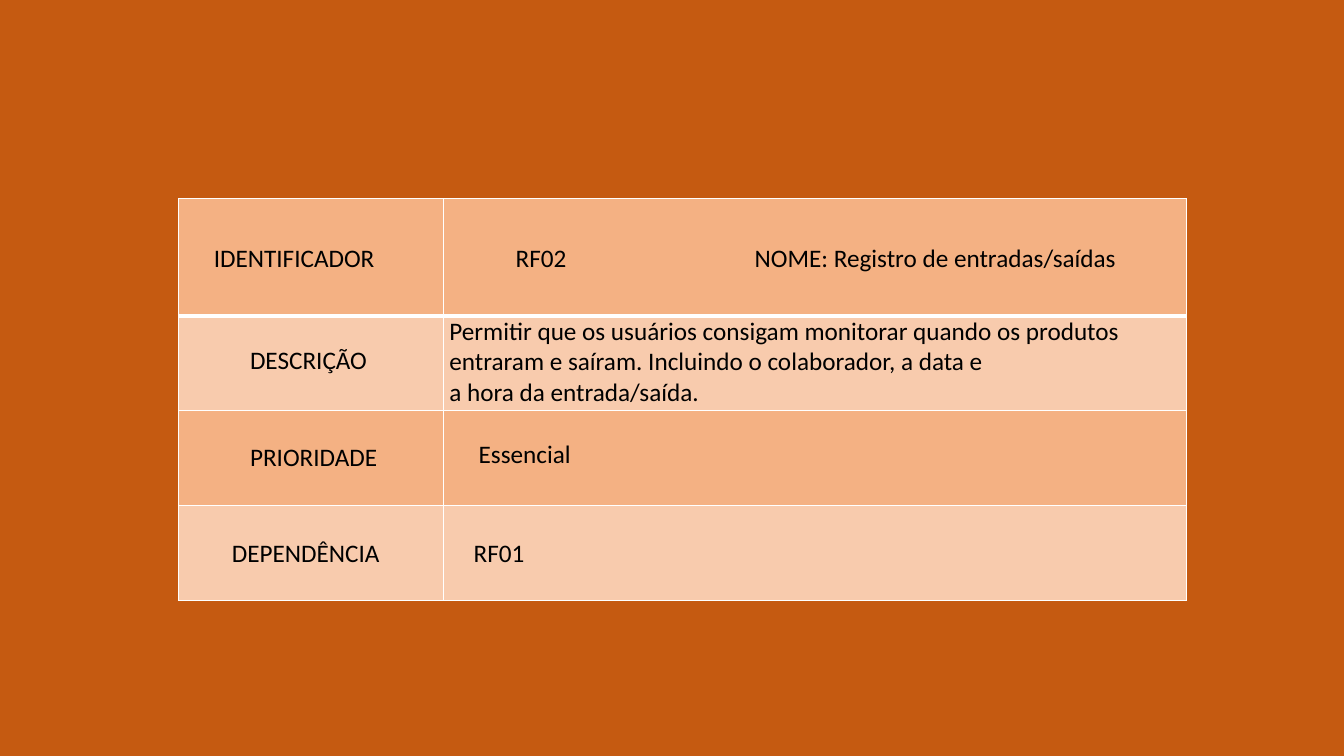
from lxml import etree
from pptx import Presentation
from pptx.dml.color import RGBColor
from pptx.enum import text as text_enum
from pptx.oxml.ns import qn
from pptx.util import Pt

BACKGROUND = RGBColor(0xC5, 0x5A, 0x11)
BAND_DARK = RGBColor(0xF4, 0xB1, 0x83)
BAND_LIGHT = RGBColor(0xF8, 0xCB, 0xAD)
BORDER = RGBColor(0xFF, 0xFF, 0xFF)
INK = RGBColor(0, 0, 0)

COLUMNS = (189.4, 530.6)
ROWS = (83.5, 67.9, 67.9, 67.9)

HEADING = "IDENTIFICADOR\tRF02\tNOME: Registro de entradas/saídas"
DESCRIPTION = (
    "Permitir que os usuários consigam monitorar quando os produtos\n"
    "entraram e saíram. Incluindo o colaborador, a data e\n"
    "a hora da entrada/saída."
)


def write(slide, content, left, top, width, height=29, *, wrap=False,
          inset=7.2, tabs=(), size=18, font="Calibri", color=INK):
    box = slide.shapes.add_textbox(Pt(left), Pt(top), Pt(width), Pt(height))
    frame = box.text_frame
    frame.word_wrap = wrap
    frame.auto_size = text_enum.MSO_AUTO_SIZE.SHAPE_TO_FIT_TEXT
    frame.margin_left = Pt(inset)
    frame.text = content
    for paragraph in frame.paragraphs:
        if tabs:
            stops = etree.SubElement(paragraph._p.get_or_add_pPr(), qn("a:tabLst"))
            for position in tabs:
                etree.SubElement(stops, qn("a:tab"), pos=str(Pt(position)), algn="l")
        for run in paragraph.runs:
            run.font.size = Pt(size)
            run.font.name = font
            run.font.color.rgb = color


def set_borders(cell, **weights):
    properties = cell._tc.get_or_add_tcPr()
    for index, side in enumerate("LRTB"):
        line = etree.Element(qn(f"a:ln{side}"), w=str(Pt(weights.get(side, 1))))
        fill = etree.SubElement(line, qn("a:solidFill"))
        etree.SubElement(fill, qn("a:srgbClr"), val=str(BORDER))
        properties.insert(index, line)


def add_requirement_grid(slide, left, top):
    grid = slide.shapes.add_table(
        len(ROWS), len(COLUMNS), Pt(left), Pt(top), Pt(sum(COLUMNS)), Pt(sum(ROWS))
    ).table
    for column, width in zip(grid.columns, COLUMNS):
        column.width = Pt(width)
    for index, (row, height) in enumerate(zip(grid.rows, ROWS)):
        row.height = Pt(height)
        for cell in row.cells:
            cell.fill.solid()
            cell.fill.fore_color.rgb = BAND_LIGHT if index % 2 else BAND_DARK
            set_borders(cell, B=3 if index == 0 else 1, T=3 if index == 1 else 1)


def add_requirement_texts(slide, left, top):
    write(slide, "PRIORIDADE", left + 44, top + 170, 111.6, wrap=True)
    write(slide, "DESCRIÇÃO", left + 44, top + 100.6, 111.6, wrap=True)
    write(slide, "DEPENDÊNCIA", left + 31, top + 238.2, 121)
    write(slide, HEADING, left + 10, top + 27.2, 682.6, wrap=True,
          inset=15.2, tabs=(215.7, 386.4))
    write(slide, DESCRIPTION, left + 186.4, top + 79.8, 502.6, 72.7)
    write(slide, "Essencial", left + 207.3, top + 167.6, 80.6)
    write(slide, "RF01", left + 203.7, top + 238.2, 51.1)


def add_requirement_slide(deck, left, top):
    slide = deck.slides.add_slide(deck.slide_layouts[6])
    slide.background.fill.solid()
    slide.background.fill.fore_color.rgb = BACKGROUND
    add_requirement_grid(slide, left, top)
    add_requirement_texts(slide, left, top)


def main():
    deck = Presentation()
    deck.slide_width, deck.slide_height = Pt(960), Pt(540)
    add_requirement_slide(deck, 127.5, 142)
    deck.save("out.pptx")


if __name__ == "__main__":
    main()
